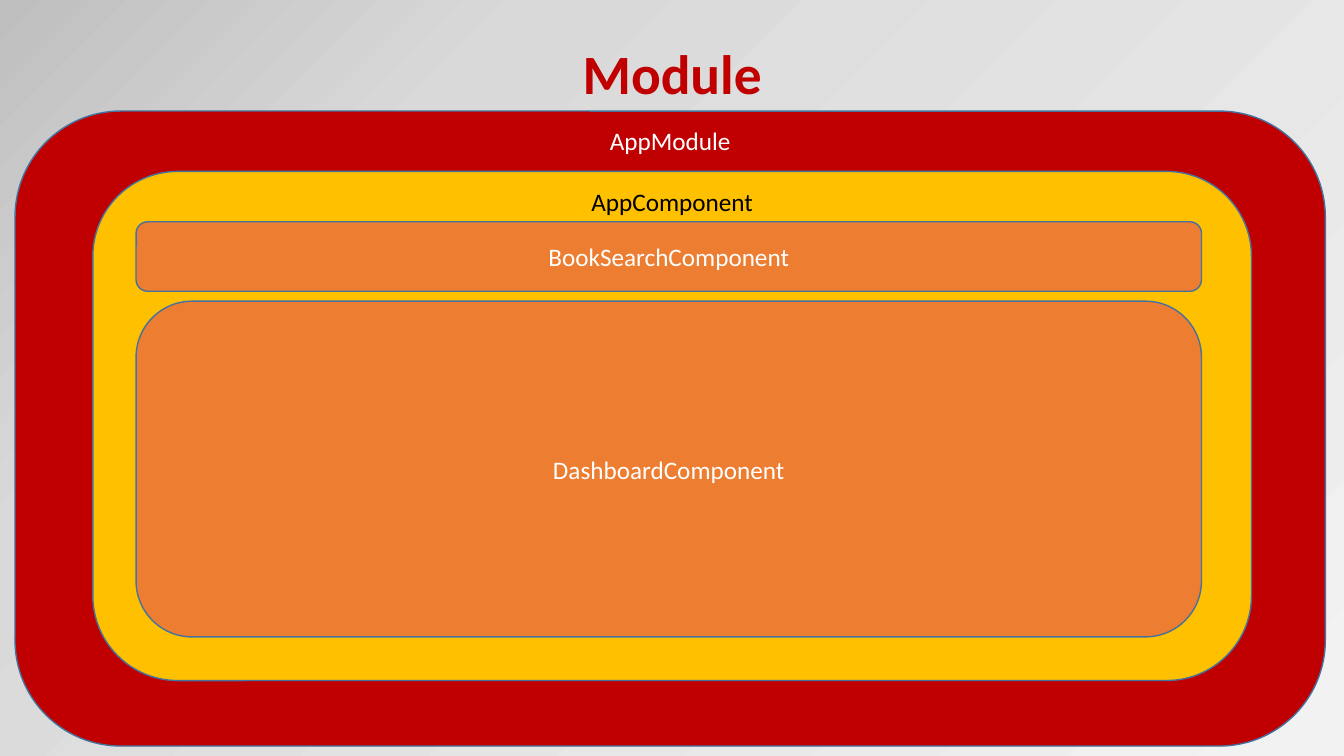
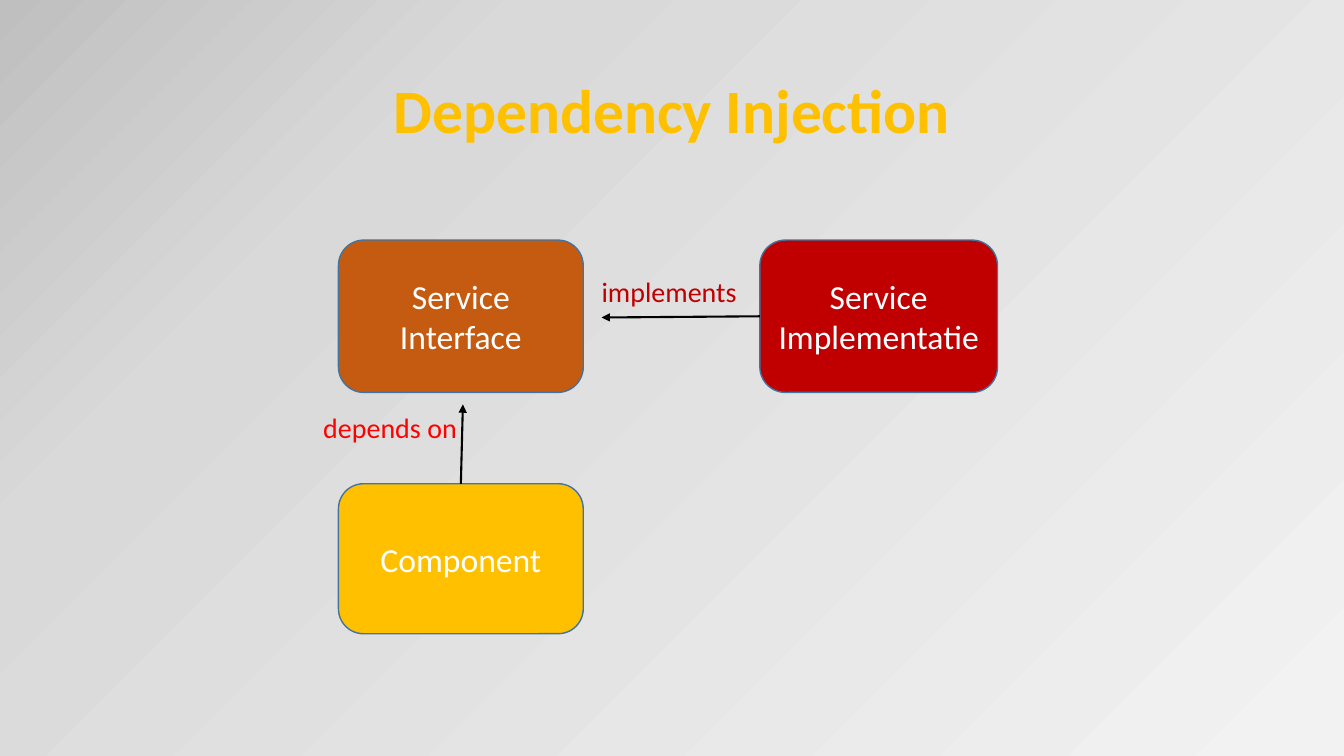
from lxml import etree
from pptx import Presentation, util as u
from pptx.dml.color import RGBColor
from pptx.enum import shapes, text
from pptx.oxml import parse_xml
from pptx.oxml.ns import nsdecls, qn

C = {"red": "C00000", "bright": "FF0000", "gold": "FFC000", "orange": "ED7D31",
     "rust": "C55A11", "edge": "43739E", "white": "FFFFFF", "black": "000000"}
BACKDROP = [(1, "F2F2F2"), (74, "D9D9D9"), (100, "BFBFBF"), (100, "A6A6A6")]
FONT = "Calibri"
ALIGN = text.PP_ALIGN
ANCHOR = text.MSO_ANCHOR
TITLE_BOX = (2.34, 1.02, 29.2)


def rgb(name):
    return RGBColor.from_string(C[name])


def cm(*values):
    return [u.Cm(v) for v in values]


def set_all(obj, fmt):
    for key, value in fmt.items():
        setattr(obj, key, value)


def write(tf, words, size, color, align=ALIGN.CENTER, bold=False, spacing=None):
    tf.text = words
    for p in tf.paragraphs:
        set_all(p, {"alignment": align, "line_spacing": spacing})
        for r in p.runs:
            set_all(r.font, {"name": FONT, "size": u.Pt(size), "bold": bold})
            r.font.color.rgb = rgb(color)


def add_backdrop(master):
    master.background.fill.solid()
    stops = "".join(f'<a:gs pos="{pos * 1000}"><a:srgbClr val="{color}"/></a:gs>'
                    for pos, color in BACKDROP)
    grad = parse_xml(
        f'<a:gradFill {nsdecls("a")} rotWithShape="1"><a:gsLst>{stops}</a:gsLst>'
        '<a:path path="circle"><a:fillToRect l="100000" t="100000"/></a:path>'
        '<a:tileRect r="-100000" b="-100000"/></a:gradFill>')
    solid = master.element.find(".//" + qn("p:bgPr")).find(qn("a:solidFill"))
    solid.getparent().replace(solid, grad)


def add_slide(prs, title, size, color, height):
    s = prs.slides.add_slide(prs.slide_layouts[5])
    sp = s.shapes.title
    x, y, w = TITLE_BOX
    set_all(sp, dict(zip(("left", "top", "width", "height"), cm(x, y, w, height))))
    sp.text_frame.vertical_anchor = ANCHOR.MIDDLE
    write(sp.text_frame, title, size, color, bold=True, spacing=0.9)
    return s


def add_box(s, box, fill, words="", size=18):
    sp = s.shapes.add_shape(shapes.MSO_SHAPE.ROUNDED_RECTANGLE, *cm(*box))
    sp.shadow.inherit = False
    sp.fill.solid()
    sp.fill.fore_color.rgb = rgb(fill)
    sp.line.color.rgb = rgb("edge")
    sp.line.width = u.Pt(1)
    if words:
        sp.text_frame.vertical_anchor = ANCHOR.MIDDLE
        write(sp.text_frame, words, size, "white")


def add_label(s, box, words, size, color, align=ALIGN.CENTER):
    tf = s.shapes.add_textbox(*cm(*box)).text_frame
    set_all(tf, {"word_wrap": True, "vertical_anchor": ANCHOR.MIDDLE,
                 "margin_left": 0, "margin_right": 0,
                 "margin_top": 0, "margin_bottom": 0})
    write(tf, words, size, color, align)


def add_arrow(s, start, end):
    cx = s.shapes.add_connector(shapes.MSO_CONNECTOR.STRAIGHT, *cm(*start, *end))
    cx.line.color.rgb = rgb("black")
    cx.line.width = u.Pt(1.5)
    etree.SubElement(cx.line._get_or_add_ln(), qn("a:tailEnd"), type="triangle")
    etree.SubElement(cx._element.spPr, qn("a:effectLst"))


def add_app_component(s, box):
    x, y, w, h = box
    add_box(s, box, "gold")
    add_label(s, (x, y + 0.25, w, 1), "AppComponent", 18, "black")
    left, width, top = x + 1.09, w - 2.35, y + 1.27
    search_h, gap = 1.75, 0.25
    add_box(s, (left, top, width, search_h), "orange", "BookSearchComponent")
    top += search_h + gap
    add_box(s, (left, top, width, y + h - 1.1 - top), "orange", "DashboardComponent")


def add_app_module(s, box):
    x, y, w, h = box
    add_box(s, box, "red")
    add_label(s, (x, y + 0.25, w, 1), "AppModule", 18, "white")
    add_app_component(s, (x + 1.96, y + 1.52, w - 3.82, h - 3.17))


def add_injection(s, box):
    x, y, w, h = box
    box_w, impl_w, top_h, low_h = 6.17, 5.99, 3.84, 3.78
    impl_x, low_y = x + w - impl_w, y + h - low_h
    add_box(s, (x, y, box_w, top_h), "rust", "Service\nInterface", 24)
    add_box(s, (x, low_y, box_w, low_h), "gold", "Component", 24)
    add_box(s, (impl_x, y, impl_w, top_h), "red", "Service\nImplementatie", 24)
    tip_x, mid_y = x + box_w + 0.46, y + top_h / 2
    mid_x, tip_y = x + box_w / 2, y + top_h + 0.3
    add_arrow(s, (impl_x, mid_y), (tip_x, mid_y + 0.03))
    add_arrow(s, (mid_x, low_y), (mid_x + 0.05, tip_y))
    add_label(s, (tip_x, mid_y - 1.12, impl_x - tip_x, 1),
              "implements", 20, "red", ALIGN.LEFT)
    add_label(s, (mid_x - 4.1, tip_y + 0.07, 4, 1),
              "depends on", 20, "bright", ALIGN.RIGHT)


def main():
    prs = Presentation()
    prs.slide_width, prs.slide_height = cm(33.87, 19.05)
    add_backdrop(prs.slide_master)
    s = add_slide(prs, "Module", 39.6, "red", 1.8)
    add_app_module(s, (0.38, 2.8, 33.02, 16))
    s = add_slide(prs, "Dependency Injection", 44, "gold", 3.68)
    add_injection(s, (8.53, 6.05, 16.61, 9.92))
    prs.save("out.pptx")


if __name__ == "__main__":
    main()
